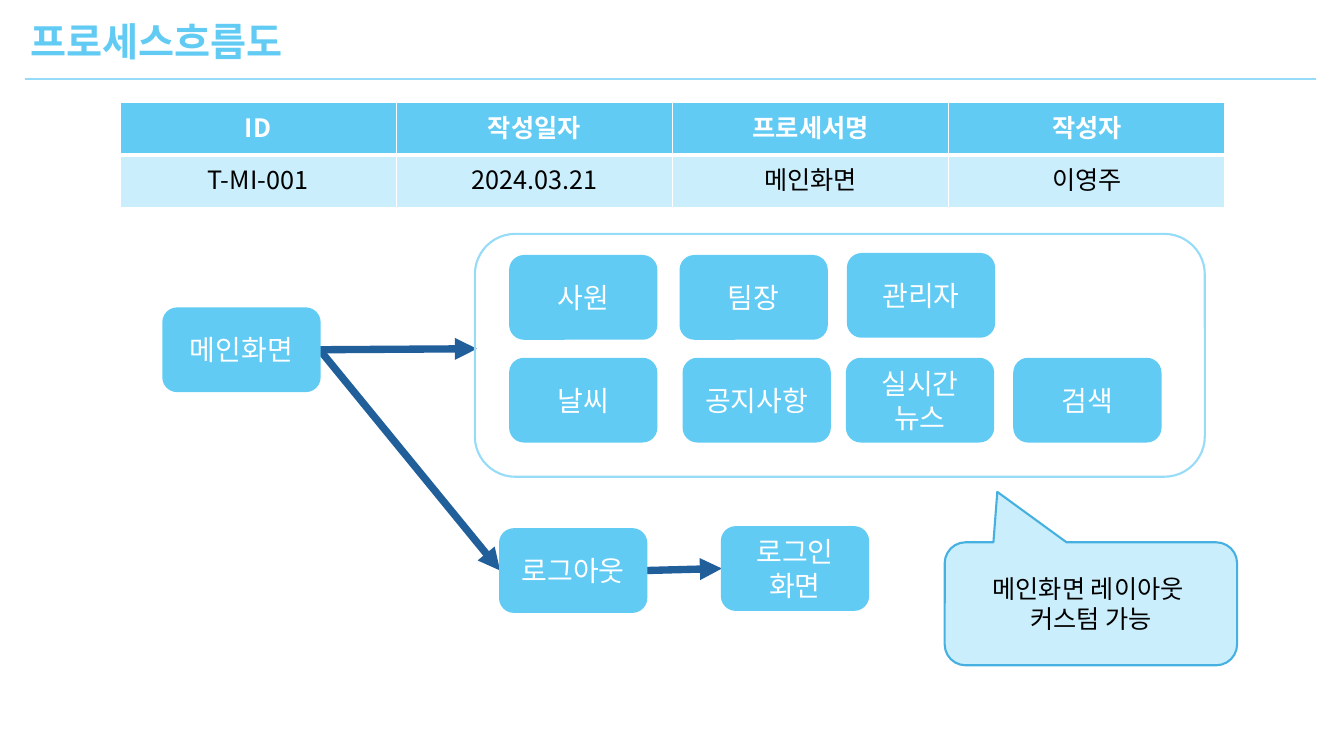
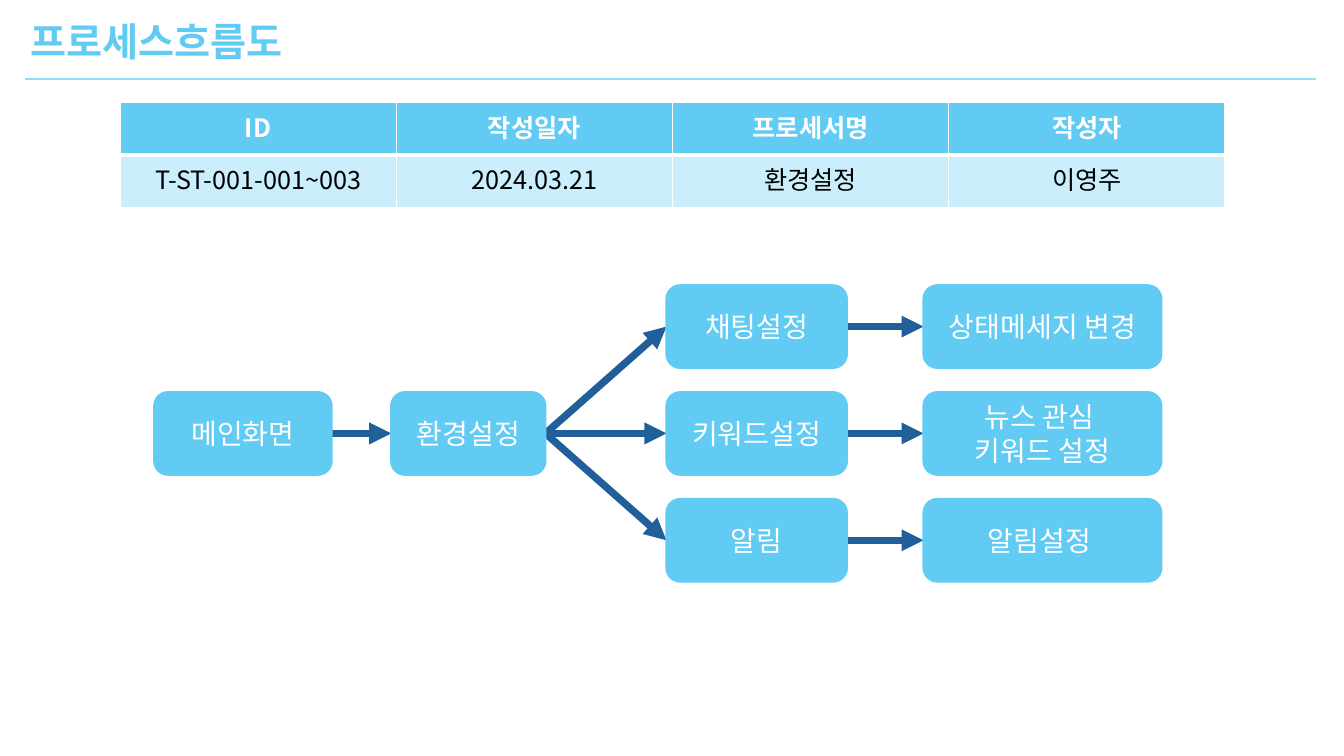
from dataclasses import dataclass
from typing import Optional

from lxml import etree
from pptx import Presentation
from pptx.dml.color import RGBColor
from pptx.enum.shapes import MSO_CONNECTOR, MSO_SHAPE
from pptx.enum.text import MSO_ANCHOR, MSO_AUTO_SIZE, PP_ALIGN
from pptx.oxml.ns import qn
from pptx.util import Inches, Pt

FONT = "Noto Sans CJK KR"
SKY = RGBColor(0x61, 0xCB, 0xF4)
PALE = RGBColor(0xCA, 0xEE, 0xFB)
SOFT = RGBColor(0x96, 0xDC, 0xF8)
EDGE = RGBColor(0x46, 0xB1, 0xE1)
NAVY = RGBColor(0x21, 0x5F, 0x9A)
WHITE = RGBColor(0xFF, 0xFF, 0xFF)
BLACK = RGBColor(0x00, 0x00, 0x00)

ROUND_RECT = MSO_SHAPE.ROUNDED_RECTANGLE
CALLOUT = MSO_SHAPE.ROUNDED_RECTANGULAR_CALLOUT
STRAIGHT = MSO_CONNECTOR.STRAIGHT
MIDDLE = MSO_ANCHOR.MIDDLE
CENTER, LEFT = PP_ALIGN.CENTER, PP_ALIGN.LEFT
NO_AUTOFIT = MSO_AUTO_SIZE.NONE

TITLE_ONLY_LAYOUT = 5
LEFT_SITE, RIGHT_SITE = 1, 3
STEP_HEIGHT = 0.82
TITLE = "프로세스흐름도"
HEADINGS = ("ID", "작성일자", "프로세서명", "작성자")


@dataclass(frozen=True)
class Step:
    """A process box: key for its links, label, place and width in inches."""
    key: str
    label: str
    left: float
    top: float
    width: float = 1.45


@dataclass(frozen=True)
class Link:
    """An arrow from one step to another, or to a fixed point."""
    source: str
    target: str = ""
    point: Optional[tuple[float, float]] = None


def write(frame, text: str, size: float, color: RGBColor,
          bold: bool = False, align=CENTER) -> None:
    frame.text = text
    for paragraph in frame.paragraphs:
        paragraph.alignment = align
        font = paragraph.font
        font.size, font.bold, font.name = Pt(size), bold, FONT
        font.color.rgb = color
        defaults = paragraph._p.pPr.find(qn("a:defRPr"))
        etree.SubElement(defaults, qn("a:ea"), typeface=FONT)


def add_block(slide, kind, box: tuple[float, float, float, float],
              fill: Optional[RGBColor], line: RGBColor):
    block = slide.shapes.add_shape(kind, *map(Inches, box))
    block.shadow.inherit = False
    if fill is None:
        block.fill.background()
    else:
        block.fill.solid()
        block.fill.fore_color.rgb = fill
    block.line.color.rgb = line
    block.line.width = Pt(1.5)
    block.text_frame.word_wrap = True
    block.text_frame.vertical_anchor = MIDDLE
    return block


def add_line(slide, start: tuple[float, float], end: tuple[float, float],
             color: RGBColor, width: float):
    line = slide.shapes.add_connector(STRAIGHT, *map(Inches, (*start, *end)))
    line.line.color.rgb = color
    line.line.width = Pt(width)
    etree.SubElement(line._element.spPr, qn("a:effectLst"))
    return line


def add_arrow(slide, link: Link, boxes: dict) -> None:
    arrow = add_line(slide, (0, 0), link.point or (0, 0), NAVY, 5.25)
    arrow.begin_connect(boxes[link.source], RIGHT_SITE)
    if link.target:
        arrow.end_connect(boxes[link.target], LEFT_SITE)
    etree.SubElement(arrow.line._get_or_add_ln(), qn("a:tailEnd"), type="triangle")
    # Arrows lie behind the boxes they join
    slide.shapes._spTree.insert(2, arrow._element)


def add_flow(slide, steps: list[Step], links: list[Link]) -> None:
    boxes = {}
    for step in steps:
        place = (step.left, step.top, step.width, STEP_HEIGHT)
        box = add_block(slide, ROUND_RECT, place, SKY, SKY)
        write(box.text_frame, step.label, 20, WHITE)
        boxes[step.key] = box
    for link in links:
        add_arrow(slide, link, boxes)


def set_borders(cell, top: float, bottom: float) -> None:
    properties = cell._tc.get_or_add_tcPr()
    for side, width in (("L", 1), ("R", 1), ("T", top), ("B", bottom)):
        border = etree.SubElement(properties, qn(f"a:ln{side}"), w=str(Pt(width)))
        fill = etree.SubElement(border, qn("a:solidFill"))
        etree.SubElement(fill, qn("a:srgbClr"), val=str(WHITE))


def add_info_table(slide, values: tuple[str, ...]) -> None:
    table = slide.shapes.add_table(
        2, len(HEADINGS), Inches(1.19), Inches(1.02), Inches(10.96), Inches(1.04)).table
    rows = ((HEADINGS, SKY, WHITE, True, 1, 3), (values, PALE, BLACK, False, 3, 1))
    for row, (texts, fill, color, bold, top, bottom) in enumerate(rows):
        for column, text in enumerate(texts):
            cell = table.cell(row, column)
            set_borders(cell, top, bottom)
            cell.fill.solid()
            cell.fill.fore_color.rgb = fill
            write(cell.text_frame, text, 18, color, bold)


def add_process_slide(deck, values: tuple[str, ...]):
    """Start a slide with the shared title, rule and information table."""
    slide = deck.slides.add_slide(deck.slide_layouts[TITLE_ONLY_LAYOUT])
    title = slide.shapes.title
    title.left, title.top, title.width, title.height = map(Inches, (0.2, 0.12, 2.95, 0.57))
    frame = title.text_frame
    frame.auto_size = NO_AUTOFIT
    frame.word_wrap = False
    frame.vertical_anchor = MIDDLE
    write(frame, TITLE, 28, SKY, True, LEFT)
    add_line(slide, (0.25, 0.78), (13.05, 0.78), SOFT, 1.5)
    add_info_table(slide, values)
    return slide


def build_main_screen(deck) -> None:
    slide = add_process_slide(deck, ("T-MI-001", "2024.03.21", "메인화면", "이영주"))
    # Panel around the parts of the main screen
    add_block(slide, ROUND_RECT, (4.71, 2.32, 7.24, 2.41), None, SOFT)
    add_flow(slide, [
        Step("main", "메인화면", 1.62, 3.06, 1.55),
        Step("logout", "로그아웃", 4.96, 5.25),
        Step("login", "로그인 화면", 7.16, 5.23),
        Step("staff", "사원", 5.06, 2.54),
        Step("leader", "팀장", 6.75, 2.54),
        Step("admin", "관리자", 8.41, 2.52),
        Step("weather", "날씨", 5.06, 3.56),
        Step("notice", "공지사항", 6.78, 3.56),
        Step("news", "실시간 뉴스", 8.4, 3.56),
        Step("search", "검색", 10.06, 3.56),
    ], [
        Link("main", point=(4.73, 3.46)),
        Link("main", "logout"),
        Link("logout", "login"),
    ])
    # Remark on the layout
    remark = add_block(slide, CALLOUT, (9.37, 5.38, 2.9, 1.22), PALE, EDGE)
    for index, value in enumerate((-0.32, -0.91, 0.17)):
        remark.adjustments[index] = value
    write(remark.text_frame, "메인화면 레이아웃 \n커스텀 가능", 18, BLACK)


def build_settings(deck) -> None:
    slide = add_process_slide(
        deck, ("T-ST-001-001~003", "2024.03.21", "환경설정", "이영주"))
    middle, pitch = 3.89, 1.06
    steps = [
        Step("main", "메인화면", 1.53, middle, 1.76),
        Step("settings", "환경설정", 3.88, middle, 1.53),
    ]
    links = [Link("main", "settings")]
    # Each branch leads from a setting to its result
    branches = (
        ("채팅설정", "상태메세지 변경"),
        ("키워드설정", "뉴스 관심 \n키워드 설정"),
        ("알림", "알림설정 "),
    )
    for index, (setting, result) in enumerate(branches):
        top = middle + (index - 1) * pitch
        steps += [Step(setting, setting, 6.61, top, 1.79),
                  Step(result, result, 9.16, top, 2.36)]
        links += [Link("settings", setting), Link(setting, result)]
    add_flow(slide, steps, links)


def main() -> None:
    deck = Presentation()
    deck.slide_width, deck.slide_height = Inches(13.33), Inches(7.5)
    build_main_screen(deck)
    build_settings(deck)
    deck.save("out.pptx")


if __name__ == "__main__":
    main()
